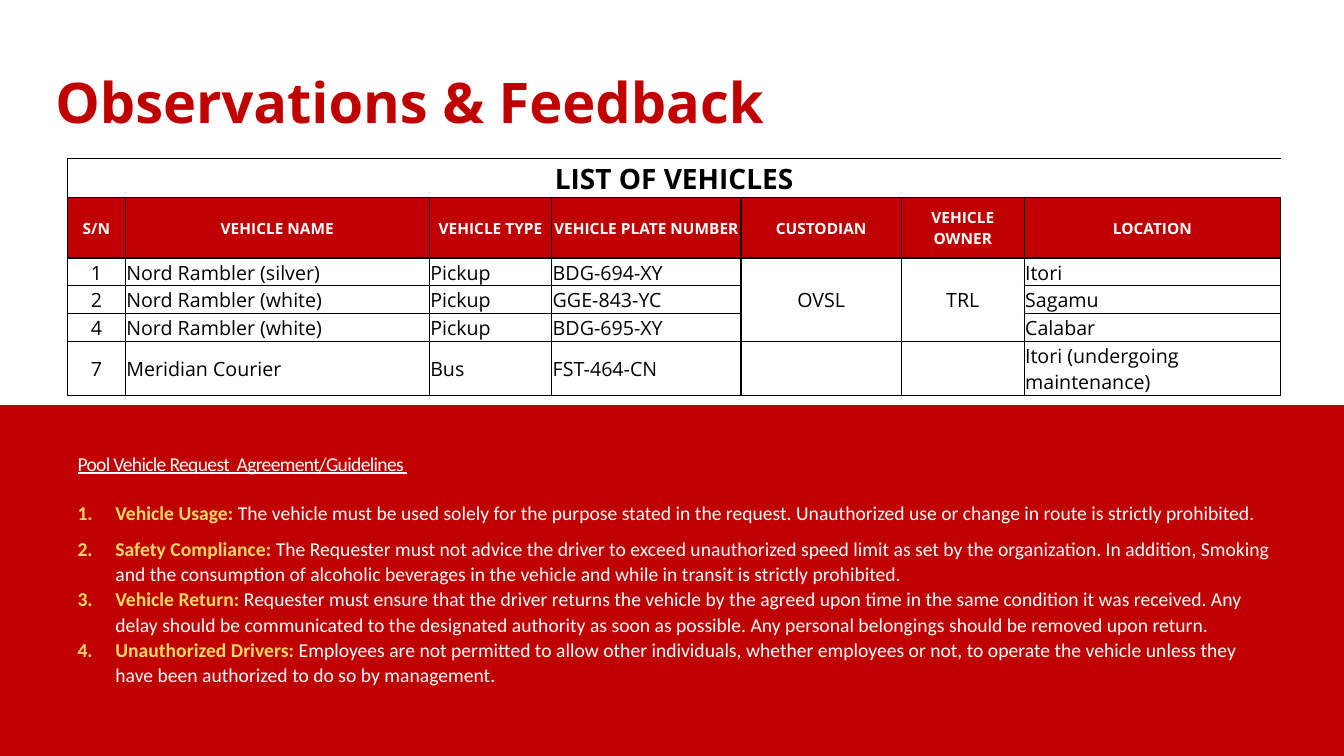
from dataclasses import dataclass
from lxml.etree import SubElement as Sub
from pptx import Presentation
from pptx.dml.color import RGBColor as RGB
from pptx.enum.shapes import MSO_SHAPE as Shape
from pptx.enum.text import MSO_ANCHOR as Anchor, MSO_AUTO_SIZE as Fit, PP_ALIGN as Align
from pptx.oxml.ns import qn
from pptx.util import Pt


@dataclass(frozen=True)
class Theme:
    red: str = "C00000"
    gold: str = "FFD966"
    white: str = "FFFFFF"
    black: str = "000000"
    head: str = "Open Sans"
    body: str = "Calibri"
    title: int = 40
    banner: int = 20
    text: int = 14
    label: int = 11


class Deck:
    def __init__(self, theme, width, height):
        self.theme = theme
        self.prs = Presentation()
        self.prs.slide_width, self.prs.slide_height = Pt(width), Pt(height)
        self.slide = self.prs.slides.add_slide(self.prs.slide_layouts[1])

    def font(self, item, name, size, color, bold=False):
        font = item.font
        font.name, font.size, font.bold = name, Pt(size), bold
        font.color.rgb = RGB.from_string(color)

    def place(self, shape, left, top, width, height):
        shape.left, shape.top = Pt(left), Pt(top)
        shape.width, shape.height = Pt(width), Pt(height)

    def indent(self, para, left, first=0):
        props = para._p.get_or_add_pPr()
        props.set("marL", str(Pt(left)))
        props.set("indent", str(Pt(first)))
        return props

    def band(self, color, *rect):
        band = self.slide.shapes.add_shape(Shape.RECTANGLE, *map(Pt, rect))
        band.shadow.inherit = False
        band.fill.solid()
        band.fill.fore_color.rgb = RGB.from_string(color)
        band.line.fill.background()
        # Keep the band behind the placeholders
        self.slide.shapes.title.element.addprevious(band.element)

    def title(self, text, *rect):
        shape = self.slide.shapes.title
        self.place(shape, *rect)
        frame = shape.text_frame
        frame.text, frame.auto_size = text, Fit.NONE
        frame.vertical_anchor = Anchor.MIDDLE
        para = frame.paragraphs[0]
        para.alignment = Align.LEFT
        self.indent(para, 14.4)
        self.font(para, self.theme.head, self.theme.title, self.theme.red, True)

    def rules(self, heading, items, *rect):
        look = self.theme
        shape = self.slide.placeholders[1]
        self.place(shape, *rect)
        frame = shape.text_frame
        frame.auto_size, frame.vertical_anchor = Fit.NONE, Anchor.TOP

        # Underlined heading
        para = frame.paragraphs[0]
        run = para.add_run()
        run.text = heading
        self.font(para, look.body, look.text, look.white)
        para.font.underline = True
        run._r.get_or_add_rPr().set("spc", "-50")
        para.space_before, para.space_after = Pt(0), Pt(17)
        Sub(self.indent(para, 0), qn("a:buNone"))

        # Numbered rules
        for lead, mark, text, gap in items:
            para = frame.add_paragraph()
            para.line_spacing = 1.07
            para.space_before, para.space_after = Pt(0), Pt(gap)
            props = self.indent(para, 27, -27)
            Sub(props, qn("a:buFont"), typeface="+mj-lt")
            Sub(props, qn("a:buAutoNum"), type="arabicPeriod")
            parts = ((lead, look.gold, True), (mark, look.gold, mark == ": "),
                     (text, look.white, False))
            for words, color, bold in parts:
                run = para.add_run()
                run.text = words
                self.font(run, look.body, look.text, color, bold)

    def edges(self, cell, sides):
        props = cell._tc.get_or_add_tcPr()
        for spot, side in enumerate("LRTB"):
            line = Sub(props, qn("a:ln" + side), w=str(Pt(1)))
            if side in sides:
                fill = Sub(line, qn("a:solidFill"))
                Sub(fill, qn("a:srgbClr"), val=self.theme.black)
            else:
                Sub(line, qn("a:noFill"))
            props.insert(spot, line)

    def cell(self, cell, text, size, color, fill, bold, align, sides="LRTB"):
        cell.text = text
        cell.vertical_anchor = Anchor.MIDDLE
        cell.margin_left = cell.margin_right = cell.margin_top = Pt(0.7)
        cell.margin_bottom = Pt(0)
        cell.fill.solid()
        cell.fill.fore_color.rgb = RGB.from_string(fill)
        para = cell.text_frame.paragraphs[0]
        para.alignment = align
        self.font(para, self.theme.head, size, color, bold)
        self.edges(cell, sides)

    def table(self, rows, widths, heights, merges, left, top):
        look = self.theme
        table = self.slide.shapes.add_table(
            len(rows), len(widths), Pt(left), Pt(top),
            Pt(sum(widths)), Pt(sum(heights))).table
        table.first_row = table.horz_banding = False
        for col, width in zip(table.columns, widths):
            col.width = Pt(width)
        for row, height in zip(table.rows, heights):
            row.height = Pt(height)
        for r, row in enumerate(rows):
            for c, text in enumerate(row):
                cell = table.cell(r, c)
                if r == 0:
                    self.cell(cell, text, look.banner, look.black, look.white,
                              True, Align.CENTER, "LTB" if c == 0 else "TB")
                elif r == 1:
                    self.cell(cell, text, look.label, look.white, look.red,
                              True, Align.CENTER)
                else:
                    mid = c in (0, 4, 5)
                    self.cell(cell, text, look.text, look.black, look.white,
                              False, Align.CENTER if mid else Align.LEFT)
        for start, end in merges:
            table.cell(*start).merge(table.cell(*end))


WIDE, HIGH = 960, 540
look = Theme()
deck = Deck(look, WIDE, HIGH)

# Lower band and title
deck.band(look.red, 0, 289.4, WIDE, HIGH - 289.4)
deck.title("Observations & Feedback", 18, 44.6, 587.5, 55.4)

# Vehicle table
rows = [
    ["LIST OF VEHICLES"] + [""] * 6,
    ["S/N", "VEHICLE NAME", "VEHICLE TYPE", "VEHICLE PLATE NUMBER",
     "CUSTODIAN", "VEHICLE OWNER", "LOCATION"],
    ["1", "Nord Rambler (silver)", "Pickup", "BDG-694-XY", "OVSL", "TRL", "Itori"],
    ["2", "Nord Rambler (white)", "Pickup", "GGE-843-YC", "", "", "Sagamu"],
    ["4", "Nord Rambler (white)", "Pickup", "BDG-695-XY", "", "", "Calabar"],
    ["7", "Meridian Courier", "Bus", "FST-464-CN", "", "",
     "Itori (undergoing maintenance)"],
]
deck.table(rows, [41.4, 217.1, 87.5, 135.2, 114.6, 87.7, 183.3],
           [26.2, 43.4] + [18.5] * 3 + [36],
           [((0, 0), (0, 6)), ((2, 4), (4, 4)), ((2, 5), (4, 5))], 48.2, 113)

# Guidelines
items = [
    ("Vehicle Usage", ": ",
     "The vehicle must be used solely for the purpose stated in the request. "
     "Unauthorized use or change in route is strictly prohibited.", 8),
    ("Safety Compliance", ": ",
     "The Requester must not advice the driver to exceed unauthorized speed limit "
     "as set by the organization. In addition, Smoking and the consumption of "
     "alcoholic beverages in the vehicle and while in transit is strictly "
     "prohibited.", 0),
    ("Vehicle Return", ": ",
     "Requester must ensure that the driver returns the vehicle by the agreed upon "
     "time in the same condition it was received. Any delay should be communicated "
     "to the designated authority as soon as possible. Any personal belongings "
     "should be removed upon return.", 0),
    ("Unauthorized Drivers", ": ",
     "Employees are not permitted to allow other individuals, whether employees or "
     "not, to operate the vehicle unless they have been authorized to do so by "
     "management.", 8),
]
deck.rules("Pool Vehicle Request  Agreement/Guidelines ", items,
           48.2, 319, 867, 175.7)

deck.prs.save("out.pptx")
